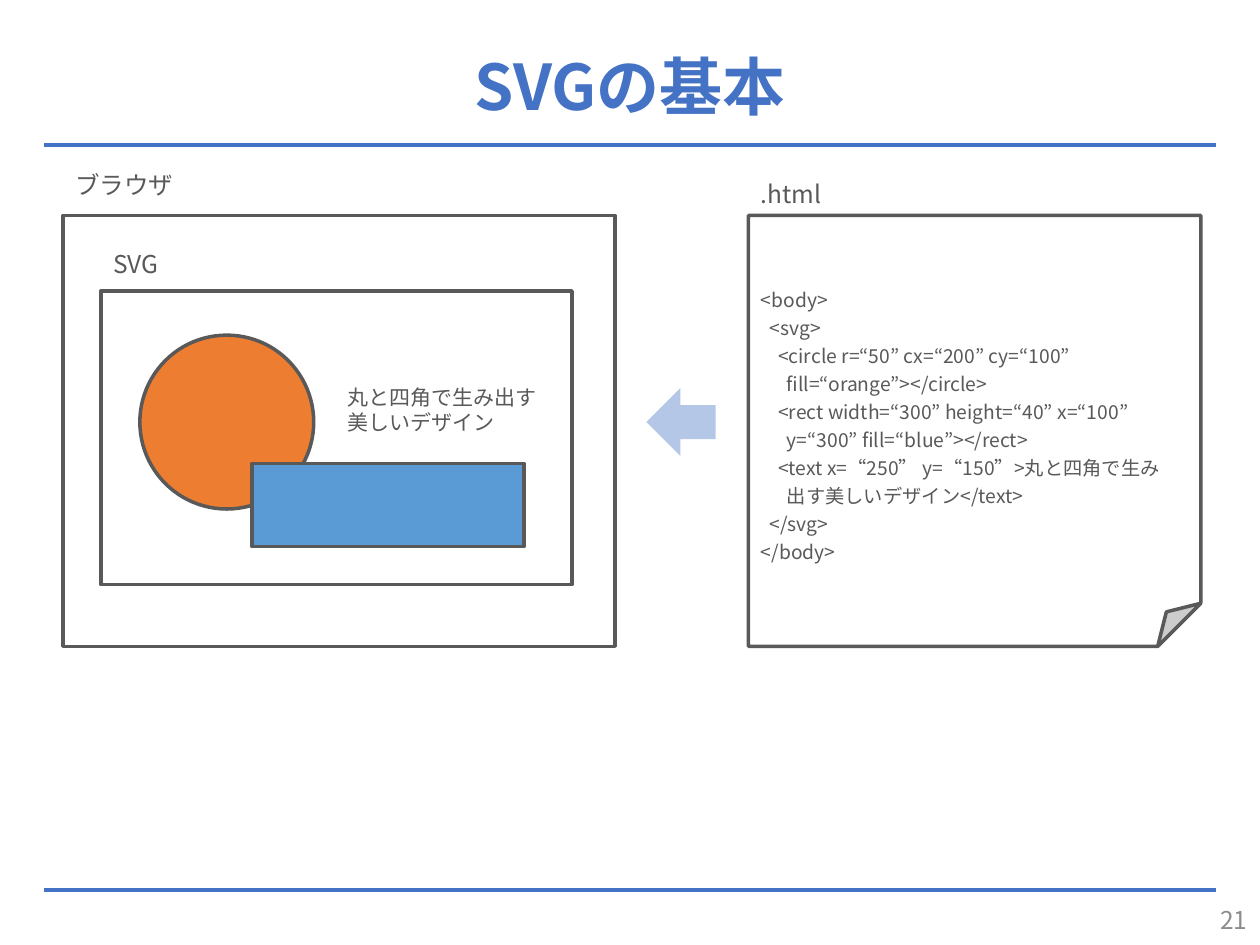
import pptx
import pptx.util
import pptx.dml.color
import pptx.enum.shapes
import pptx.enum.text
import pptx.oxml
import pptx.oxml.ns

Inches = pptx.util.Inches
Pt = pptx.util.Pt
SHAPE = pptx.enum.shapes.MSO_SHAPE
ALIGN = pptx.enum.text.PP_ALIGN
ANCHOR = pptx.enum.text.MSO_ANCHOR

FONT = "Noto Sans CJK JP"
BLUE, GRAY, WHITE = "4472C4", "595959", "FFFFFF"

HTML_LINES = [
    "<body>",
    "  <svg>",
    "    <circle r=“50” cx=“200” cy=“100”",
    "      fill=“orange”></circle>",
    "    <rect width=“300” height=“40” x=“100”",
    "      y=“300” fill=“blue”></rect>",
    "    <text x=“250” y=“150”>丸と四角で生み",
    "      出す美しいデザイン</text>",
    "  </svg>",
    "</body>",
]


def rgb(hex_color):
    return pptx.dml.color.RGBColor.from_string(hex_color)


def drawing_element(tag, attributes=""):
    return pptx.oxml.parse_xml(
        f'<a:{tag} {pptx.oxml.ns.nsdecls("a")} {attributes}/>')


def write_lines(frame, lines, size, color=GRAY, bold=False,
                align=ALIGN.LEFT, spacing=None):
    for index, line in enumerate(lines):
        paragraph = frame.add_paragraph() if index else frame.paragraphs[0]
        paragraph.alignment = align
        if spacing:
            paragraph.line_spacing = Pt(spacing)
        run = paragraph.add_run()
        run.text = line
        run.font.size = Pt(size)
        run.font.bold = bold
        run.font.color.rgb = rgb(color)
        run.font.name = FONT
        latin = run.font._element.find(pptx.oxml.ns.qn("a:latin"))
        latin.addnext(drawing_element("ea", f'typeface="{FONT}"'))


def add_label(slide, left, top, width, height, lines, size=14):
    label = slide.shapes.add_textbox(
        Inches(left), Inches(top), Inches(width), Inches(height))
    label.text_frame.word_wrap = False
    label.text_frame.auto_size = pptx.enum.text.MSO_AUTO_SIZE.SHAPE_TO_FIT_TEXT
    write_lines(label.text_frame, lines, size)


def add_figure(slide, kind, left, top, width, height, fill=WHITE, line=GRAY):
    figure = slide.shapes.add_shape(
        kind, Inches(left), Inches(top), Inches(width), Inches(height))
    figure.shadow.inherit = False
    figure.fill.solid()
    figure.fill.fore_color.rgb = rgb(fill)
    if line:
        figure.line.color.rgb = rgb(line)
        figure.line.width = Pt(2)
    else:
        figure.line.fill.background()
    return figure


def add_rule(slide, left, top, width):
    rule = slide.shapes.add_connector(
        pptx.enum.shapes.MSO_CONNECTOR.STRAIGHT,
        Inches(left), Inches(top), Inches(left + width), Inches(top))
    rule.line.color.rgb = rgb(BLUE)
    rule.line.width = Pt(2.25)
    rule._element.spPr.append(drawing_element("effectLst"))


def add_title(slide, left, top, width, height):
    title = slide.shapes.title
    title.left, title.top = Inches(left), Inches(top)
    title.width, title.height = Inches(width), Inches(height)
    title.text_frame.vertical_anchor = ANCHOR.MIDDLE
    write_lines(title.text_frame, ["SVGの基本"], 36, BLUE, True, ALIGN.CENTER)


def add_page_number(slide, left, top, width, height):
    number = slide.shapes.add_textbox(
        Inches(left), Inches(top), Inches(width), Inches(height))
    number.text_frame.word_wrap = True
    number.text_frame.vertical_anchor = ANCHOR.MIDDLE
    write_lines(number.text_frame, ["21"], 14, "8C8C8C", align=ALIGN.RIGHT)


def add_browser(slide, left, top, width, height):
    # Browser window
    add_figure(slide, SHAPE.RECTANGLE, left, top, width, height)
    add_label(slide, left, top - 0.41, 0.99, 0.34, ["ブラウザ"])

    # SVG canvas inside the window
    canvas_left, canvas_top = left + 0.3, top + 0.6
    add_figure(slide, SHAPE.RECTANGLE, canvas_left, canvas_top,
               width - 0.64, height - 1.09)
    add_label(slide, canvas_left, canvas_top - 0.38, 0.62, 0.34, ["SVG"])

    # Drawing on the canvas
    add_figure(slide, SHAPE.OVAL, canvas_left + 0.31, canvas_top + 0.35,
               1.38, 1.38, "ED7D31")
    add_figure(slide, SHAPE.RECTANGLE, canvas_left + 1.2, canvas_top + 1.37,
               2.16, 0.66, "5B9BD5")
    add_label(slide, canvas_left + 1.86, canvas_top + 0.69, 1.72, 0.5,
              ["丸と四角で生み出す", "美しいデザイン"], 12)


def add_html_file(slide, left, top, width, height):
    page = add_figure(slide, SHAPE.FOLDED_CORNER, left, top, width, height)
    # The fold takes a tenth of the page
    corner = page._element.spPr.find(pptx.oxml.ns.qn("a:prstGeom"))
    corner.find(pptx.oxml.ns.qn("a:avLst")).append(
        drawing_element("gd", 'name="adj" fmla="val 10000"'))
    frame = page.text_frame
    frame.word_wrap = True
    frame.vertical_anchor = ANCHOR.MIDDLE
    frame.margin_left = frame.margin_right = Inches(0.1)
    frame.margin_top, frame.margin_bottom = Pt(16), 0
    write_lines(frame, HTML_LINES, 11, spacing=16)
    add_label(slide, left, top - 0.34, 0.7, 0.34, [".html"])


def main():
    deck = pptx.Presentation()
    deck.slide_width, deck.slide_height = Inches(10), Inches(7.5)
    slide = deck.slides.add_slide(deck.slide_layouts.get_by_name("Title Only"))

    # Frame of the slide
    for rule_top in (1.15, 7.06):
        add_rule(slide, 0.35, rule_top, 9.3)
    add_title(slide, 0.5, 0.13, 9, 1.1)
    add_page_number(slide, 7.67, 7.1, 2.33, 0.4)

    # The HTML file and what the browser shows for it
    add_browser(slide, 0.5, 1.71, 4.38, 3.42)
    add_html_file(slide, 5.94, 1.71, 3.59, 3.42)
    add_figure(slide, SHAPE.LEFT_ARROW, 5.13, 3.08, 0.55, 0.54, "B4C7E7", None)

    deck.save("out.pptx")


if __name__ == "__main__":
    main()
